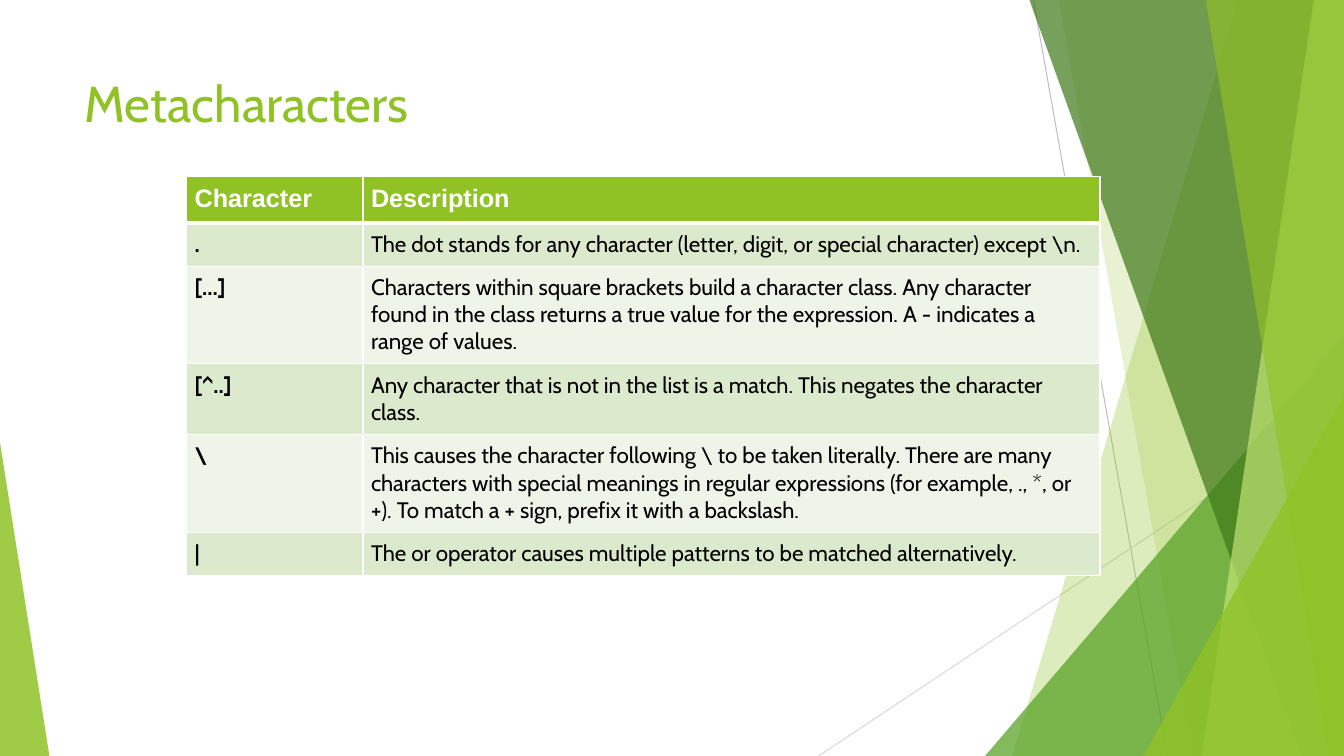
from lxml import etree
from pptx import Presentation
from pptx.dml.color import RGBColor
from pptx.enum.shapes import MSO_CONNECTOR, MSO_SHAPE
from pptx.enum.text import MSO_ANCHOR
from pptx.oxml import parse_xml
from pptx.oxml.ns import nsdecls, qn
from pptx.util import Inches, Pt

WIDTH, HEIGHT = 13.33, 7.5
LIME = RGBColor(0x90, 0xC2, 0x26)
GREEN = RGBColor(0x54, 0xA0, 0x21)
FOREST = RGBColor(0x3F, 0x78, 0x19)
PALE_LIME = RGBColor(0xC0, 0xE4, 0x74)
BAND_DARK = RGBColor(0xDB, 0xE9, 0xCD)
BAND_LIGHT = RGBColor(0xEE, 0xF4, 0xE8)
GRAY = RGBColor(0xBF, 0xBF, 0xBF)
LIGHT_GRAY = RGBColor(0xD9, 0xD9, 0xD9)
WHITE = RGBColor(0xFF, 0xFF, 0xFF)
BLACK = RGBColor(0, 0, 0)

TEXT_LINE, CELL_MARGIN = 0.27, 0.08
ROWS = [  # character, description, lines of text
    ("Character", "Description", 1),
    (".", "The dot stands for any character (letter, digit, or special "
          "character) except \\n.", 1),
    ("[…]", "Characters within square brackets build a character class. Any "
            "character found in the class returns a true value for the "
            "expression. A - indicates a range of values.", 3),
    ("[^..]", "Any character that is not in the list is a match. This negates "
              "the character class.", 2),
    ("\\", "This causes the character following \\ to be taken literally. "
           "There are many characters with special meanings in regular "
           "expressions (for example, ., *, or +). To match a + sign, prefix "
           "it with a backslash.", 3),
    ("|", "The or operator causes multiple patterns to be matched "
          "alternatively.", 1),
]


def paint(shape, color, opacity):
    """Fill a shape with a translucent colour, without outline or shadow."""
    shape.shadow.inherit = False
    shape.line.fill.background()
    shape.fill.solid()
    shape.fill.fore_color.rgb = color
    tint = shape.fill._xPr.find(qn("a:solidFill"))[0]
    etree.SubElement(tint, qn("a:alpha")).set("val", str(opacity * 1000))


def add_wedge(page, top_x, bottom_x, color, opacity):
    """Full-height panel from a slanted left side to the right slide edge."""
    builder = page.shapes.build_freeform(Inches(top_x), 0)
    corners = [(WIDTH, 0), (WIDTH, HEIGHT), (bottom_x, HEIGHT)]
    builder.add_line_segments([(Inches(x), Inches(y)) for x, y in corners])
    paint(builder.convert_to_shape(), color, opacity)


def add_peak(page, left, top, width, apex, color, opacity):
    """Triangle standing on the bottom edge of the slide."""
    peak = page.shapes.add_shape(
        MSO_SHAPE.ISOSCELES_TRIANGLE, Inches(left), Inches(top),
        Inches(width), Inches(HEIGHT - top))
    peak.adjustments[0] = apex
    paint(peak, color, opacity)


def add_hairline(page, start, end, color):
    line = page.shapes.add_connector(
        MSO_CONNECTOR.STRAIGHT, *(Inches(v) for v in (*start, *end)))
    line.line.color.rgb = color
    line.line.width = Pt(0.75)
    etree.SubElement(line._element.spPr, qn("a:effectLst"))


def add_backdrop(page):
    add_hairline(page, (10.25, 0), (11.58, HEIGHT), GRAY)
    add_hairline(page, (WIDTH, 4.03), (8.12, HEIGHT), LIGHT_GRAY)
    add_wedge(page, 12.28, 10.04, LIME, 30)
    add_wedge(page, 10.5, 11.83, LIME, 20)
    add_peak(page, 9.77, 3.33, WIDTH - 9.77, 1, GREEN, 72)
    add_wedge(page, 10.21, 12.91, FOREST, 70)
    add_wedge(page, 13.03, 11.92, PALE_LIME, 70)
    add_wedge(page, 11.96, 13.18, LIME, 65)
    add_peak(page, 11.34, 3.93, WIDTH - 11.34, 1, LIME, 80)
    add_peak(page, 0, 4.39, 0.49, 0, LIME, 85)


def style_text(para, font_name, size, color, bold=False):
    for span in para.runs:
        span.font.name = font_name
        span.font.size = Pt(size)
        span.font.color.rgb = color
        span.font.bold = bold


def add_title(page, text, left, top, width, height):
    box = page.shapes.add_textbox(*map(Inches, (left, top, width, height)))
    frame = box.text_frame
    frame.word_wrap = True
    frame.vertical_anchor = MSO_ANCHOR.TOP
    frame.text = text
    style_text(frame.paragraphs[0], "Cabin", 36, LIME)


def add_borders(cell, top, bottom):
    """Draw white cell borders; top and bottom are widths in points."""
    sides = [("lnL", 1), ("lnR", 1), ("lnT", top), ("lnB", bottom)]
    for index, (side, width) in enumerate(sides):
        cell._tc.get_or_add_tcPr().insert(index, parse_xml(
            f'<a:{side} {nsdecls("a")} w="{Pt(width)}"><a:solidFill>'
            f'<a:srgbClr val="{WHITE}"/></a:solidFill></a:{side}>'))


def fill_cell(cell, text, row, column):
    header = row == 0
    cell.text = text
    cell.margin_left = cell.margin_right = Inches(CELL_MARGIN)
    cell.margin_top = cell.margin_bottom = Inches(CELL_MARGIN)
    cell.fill.solid()
    cell.fill.fore_color.rgb = (
        LIME if header else BAND_DARK if row % 2 else BAND_LIGHT)
    para = cell.text_frame.paragraphs[0]
    if header:
        style_text(para, "Arial", 18, WHITE, bold=True)
    else:
        style_text(para, "Cabin", 16, BLACK, bold=column == 0)
    add_borders(cell, 3 if row == 1 else 1, 3 if header else 1)


def add_character_table(page, left, top, column_widths):
    heights = [lines * TEXT_LINE + 2 * CELL_MARGIN for *_, lines in ROWS]
    table = page.shapes.add_table(
        len(ROWS), len(column_widths), Inches(left), Inches(top),
        Inches(sum(column_widths)), Inches(sum(heights))).table
    for column, width in zip(table.columns, column_widths):
        column.width = Inches(width)
    for row, (*texts, _) in enumerate(ROWS):
        table.rows[row].height = Inches(heights[row])
        for column, text in enumerate(texts):
            fill_cell(table.cell(row, column), text, row, column)


def main():
    deck = Presentation()
    deck.slide_width, deck.slide_height = Inches(WIDTH), Inches(HEIGHT)
    page = deck.slides.add_slide(deck.slide_layouts[6])
    add_backdrop(page)
    add_title(page, "Metacharacters", 0.74, 0.67, 9.4, 1.44)
    add_character_table(page, 1.85, 1.75, (1.75, 7.31))
    deck.save("out.pptx")


if __name__ == "__main__":
    main()
